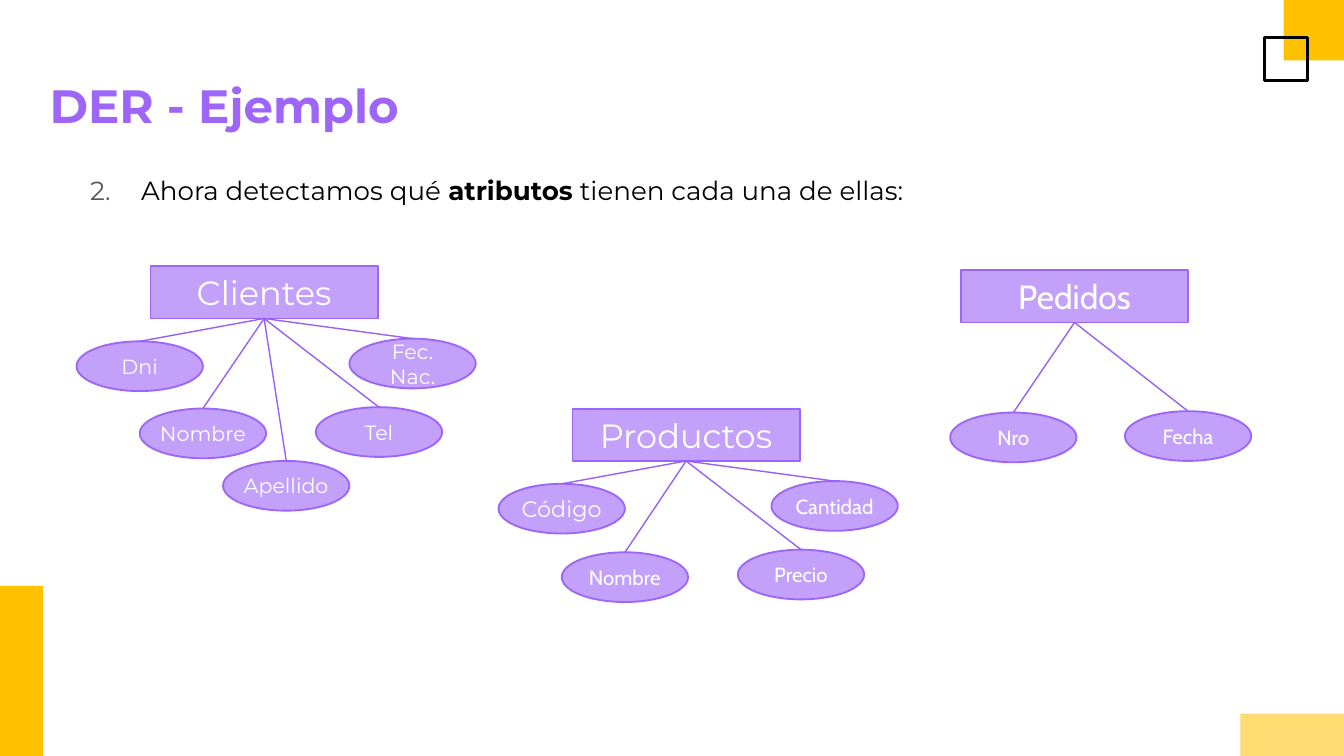
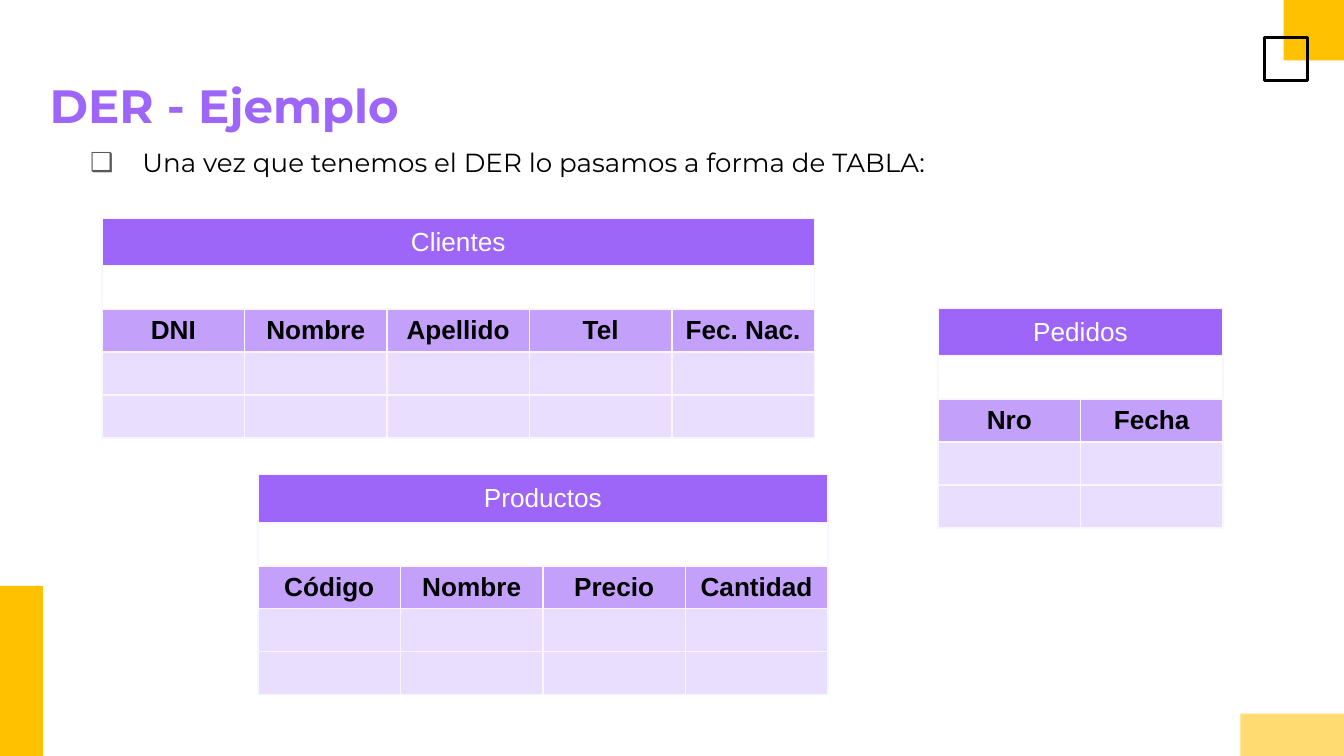
from lxml import etree
from pptx import Presentation
from pptx.dml.color import RGBColor
from pptx.enum.shapes import MSO_CONNECTOR, MSO_SHAPE
from pptx.enum.text import MSO_ANCHOR, MSO_AUTO_SIZE, PP_ALIGN
from pptx.oxml.ns import qn
from pptx.util import Inches, Pt

RECTANGLE, ELLIPSE = MSO_SHAPE.RECTANGLE, MSO_SHAPE.OVAL
STRAIGHT = MSO_CONNECTOR.STRAIGHT
TOP, MIDDLE = MSO_ANCHOR.TOP, MSO_ANCHOR.MIDDLE
LEFT, CENTER = PP_ALIGN.LEFT, PP_ALIGN.CENTER
FIXED_SIZE = MSO_AUTO_SIZE.NONE
TOP_SIDE, BOTTOM_SIDE = 0, 2
TITLE_AND_CONTENT = 1
MARGINS = ("margin_left", "margin_top", "margin_right", "margin_bottom")

COLORS = {
    "purple": "9D66F9",
    "link": "985FF6",
    "lilac": "C3A1FB",
    "pale": "EADEFE",
    "border": "F9F6FF",
    "yellow": "FFC100",
    "light yellow": "FFDB71",
    "gray": "595959",
    "black": "000000",
    "white": "FFFFFF",
}
MONTSERRAT, CABIN, ARIAL = "Montserrat", "Cabin", "Arial"

# left, top, width, height, fill, outline
BANDS = [
    (9.55, 0, 0.45, 0.45, "yellow", None),
    (0, 4.36, 0.32, 1.27, "yellow", None),
    (9.41, 0.28, 0.32, 0.32, None, "black"),
    (9.23, 5.31, 0.77, 0.32, "light yellow", None),
]
ENTITY_SIZE = (1.69, 0.39)
ATTRIBUTE_SIZE = (0.94, 0.37)
COLUMN_WIDTH, HEADER_HEIGHT, ROW_HEIGHT = 1.06, 0.36, 0.32

# name, left, top, font, attributes as (name, left, top, font, size)
ENTITIES = [
    ("Clientes", 1.12, 1.98, MONTSERRAT, [
        ("Dni", 0.57, 2.54, MONTSERRAT, 11),
        ("Nombre", 1.04, 3.04, MONTSERRAT, 11),
        ("Apellido", 1.66, 3.43, MONTSERRAT, 11),
        ("Tel", 2.35, 3.03, MONTSERRAT, 11),
        ("Fec. Nac.", 2.6, 2.52, MONTSERRAT, 11),
    ]),
    ("Productos", 4.26, 3.04, MONTSERRAT, [
        ("Código", 3.71, 3.6, MONTSERRAT, 12),
        ("Nombre", 4.18, 4.11, CABIN, 11),
        ("Precio", 5.49, 4.09, CABIN, 11),
        ("Cantidad", 5.74, 3.58, CABIN, 11),
    ]),
    ("Pedidos", 7.15, 2.01, CABIN, [
        ("Nro", 7.07, 3.07, CABIN, 11),
        ("Fecha", 8.37, 3.06, CABIN, 11),
    ]),
]
# name, left, top, columns
TABLES = [
    ("Clientes", 0.76, 1.62, ["DNI", "Nombre", "Apellido", "Tel", "Fec. Nac."]),
    ("Productos", 1.92, 3.53, ["Código", "Nombre", "Precio", "Cantidad"]),
    ("Pedidos", 6.98, 2.29, ["Nro", "Fecha"]),
]


def rgb(name):
    return RGBColor.from_string(COLORS[name])


def set_values(target, values):
    for name, value in values.items():
        setattr(target, name, value)


def add_xml(parent, tag, **attributes):
    return etree.SubElement(parent, qn(tag), attributes)


class Deck:
    def __init__(self):
        self.deck = Presentation()
        self.deck.slide_width = Inches(10)
        self.deck.slide_height = Inches(10) * 9 // 16
        self.layout = self.deck.slide_layouts[TITLE_AND_CONTENT]
        self.page = None

    def add_page(self, title):
        first = self.page is None
        self.page = self.deck.slides.add_slide(self.layout)
        if first:
            self.add_bands()
        box = self.page.shapes.title
        self.place(box, 0.27, 0.47, 9.47, 0.63)
        self.add_spans(box.text_frame.paragraphs[0], [(title, True)], 25, MONTSERRAT, "purple", LEFT)

    def add_bands(self):
        """Put the corner bands on the layout, so that every page shows them."""
        for *place, fill, outline in BANDS:
            band = self.add_box(RECTANGLE, place, fill, outline, 1.5)
            self.layout.shapes.element.append(band.element)

    def place(self, box, left, top, width, height):
        """Move a placeholder and give its text frame the common margins."""
        set_values(box, {
            "left": Inches(left), "top": Inches(top),
            "width": Inches(width), "height": Inches(height),
        })
        set_values(box.text_frame, {
            "word_wrap": True, "auto_size": FIXED_SIZE, "vertical_anchor": TOP,
            **dict.fromkeys(MARGINS, Inches(0.1)),
        })

    def add_spans(self, para, spans, size, font, color, alignment=CENTER):
        """Fill a paragraph with (text, bold) spans."""
        set_values(para, {"alignment": alignment, "space_before": Pt(0)})
        for text, bold in spans:
            span = para.add_run()
            span.text = text
            set_values(span.font, {"size": Pt(size), "name": font, "bold": bold})
            span.font.color.rgb = rgb(color)

    def add_item(self, top, spans, indent, bullet_tag, **bullet):
        """Fill the body placeholder with the one list item of the page."""
        box = self.page.placeholders[1]
        self.place(box, 0.57, top, 9.25, 0.42)
        para = box.text_frame.paragraphs[0]
        self.add_spans(para, spans, 14, MONTSERRAT, "black", LEFT)
        properties = para._p.get_or_add_pPr()
        properties.set("marL", str(Inches(indent)))
        properties.set("indent", str(-Inches(indent)))
        add_xml(add_xml(properties, "a:buClr"), "a:srgbClr", val=COLORS["gray"])
        add_xml(properties, "a:buFont", typeface=MONTSERRAT)
        add_xml(properties, bullet_tag, **bullet)

    def add_box(self, kind, place, fill, outline, line_width=1):
        box = self.page.shapes.add_shape(kind, *map(Inches, place))
        box.shadow.inherit = False
        if fill:
            box.fill.solid()
            box.fill.fore_color.rgb = rgb(fill)
        else:
            box.fill.background()
        if outline:
            box.line.color.rgb = rgb(outline)
            box.line.width = Pt(line_width)
        else:
            box.line.fill.background()
        return box

    def add_node(self, kind, place, text, font, size):
        box = self.add_box(kind, place, "lilac", "purple")
        frame = box.text_frame
        set_values(frame, {
            "word_wrap": True, "vertical_anchor": MIDDLE, **dict.fromkeys(MARGINS, 0),
        })
        self.add_spans(frame.paragraphs[0], [(text, False)], size, font, "white")
        return box

    def add_link(self, entity, attribute):
        link = self.page.shapes.add_connector(STRAIGHT, 0, 0, 0, 0)
        link.begin_connect(entity, BOTTOM_SIDE)
        link.end_connect(attribute, TOP_SIDE)
        link.line.color.rgb = rgb("link")
        link.line.width = Pt(0.75)
        add_xml(link.element.spPr, "a:effectLst")

    def add_entity(self, name, left, top, font, attributes):
        entity = self.add_node(RECTANGLE, (left, top, *ENTITY_SIZE), name, font, 18)
        for text, x, y, attribute_font, size in attributes:
            place = (x, y, *ATTRIBUTE_SIZE)
            self.add_link(entity, self.add_node(ELLIPSE, place, text, attribute_font, size))

    def add_table(self, name, left, top, columns):
        count = len(columns)
        blank = [""] * count
        rows = [  # texts, fill, text color, bold
            ([name] + blank[1:], "purple", "white", False),
            (blank, "white", "black", False),
            (columns, "lilac", "black", True),
            (blank, "pale", "black", False),
            (blank, "pale", "black", False),
        ]
        heights = [HEADER_HEIGHT] + [ROW_HEIGHT] * (len(rows) - 1)
        place = (left, top, count * COLUMN_WIDTH, sum(heights))
        table = self.page.shapes.add_table(len(rows), count, *map(Inches, place)).table
        set_values(table, {"first_row": False, "horz_banding": False})
        for column in table.columns:
            column.width = Inches(COLUMN_WIDTH)
        for r, (texts, fill, color, bold) in enumerate(rows):
            table.rows[r].height = Inches(heights[r])
            for c, text in enumerate(texts):
                self.fill_cell(table.cell(r, c), text, fill, color, bold)
        for r in (0, 1):
            table.cell(r, 0).merge(table.cell(r, count - 1))

    def fill_cell(self, cell, text, fill, color, bold):
        # Empty cells need no vertical margins, so the row keeps its height.
        margin = Inches(0.05 if text else 0)
        set_values(cell, {
            "vertical_anchor": MIDDLE, "margin_top": margin, "margin_bottom": margin,
        })
        if text:
            self.add_spans(cell.text_frame.paragraphs[0], [(text, bold)], 14, ARIAL, color)
        properties = cell._tc.get_or_add_tcPr()
        for side in ("a:lnL", "a:lnR", "a:lnT", "a:lnB"):
            line = add_xml(properties, side, w=str(Pt(1)))
            add_xml(add_xml(line, "a:solidFill"), "a:srgbClr", val=COLORS["border"])
        cell.fill.solid()
        cell.fill.fore_color.rgb = rgb(fill)


def main():
    show = Deck()

    show.add_page("DER - Ejemplo")
    show.add_item(
        1.2,
        [("Ahora detectamos qué ", False), ("atributos", True),
         (" tienen cada una de ellas:", False)],
        0.38, "a:buAutoNum", type="arabicPeriod", startAt="2",
    )
    for entity in ENTITIES:
        show.add_entity(*entity)

    show.add_page("DER - Ejemplo")
    show.add_item(
        0.99,
        [("Una vez que tenemos el DER lo pasamos a forma de TABLA:", False)],
        0.39, "a:buChar", char="❑",
    )
    for table in TABLES:
        show.add_table(*table)

    show.deck.save("out.pptx")


if __name__ == "__main__":
    main()
